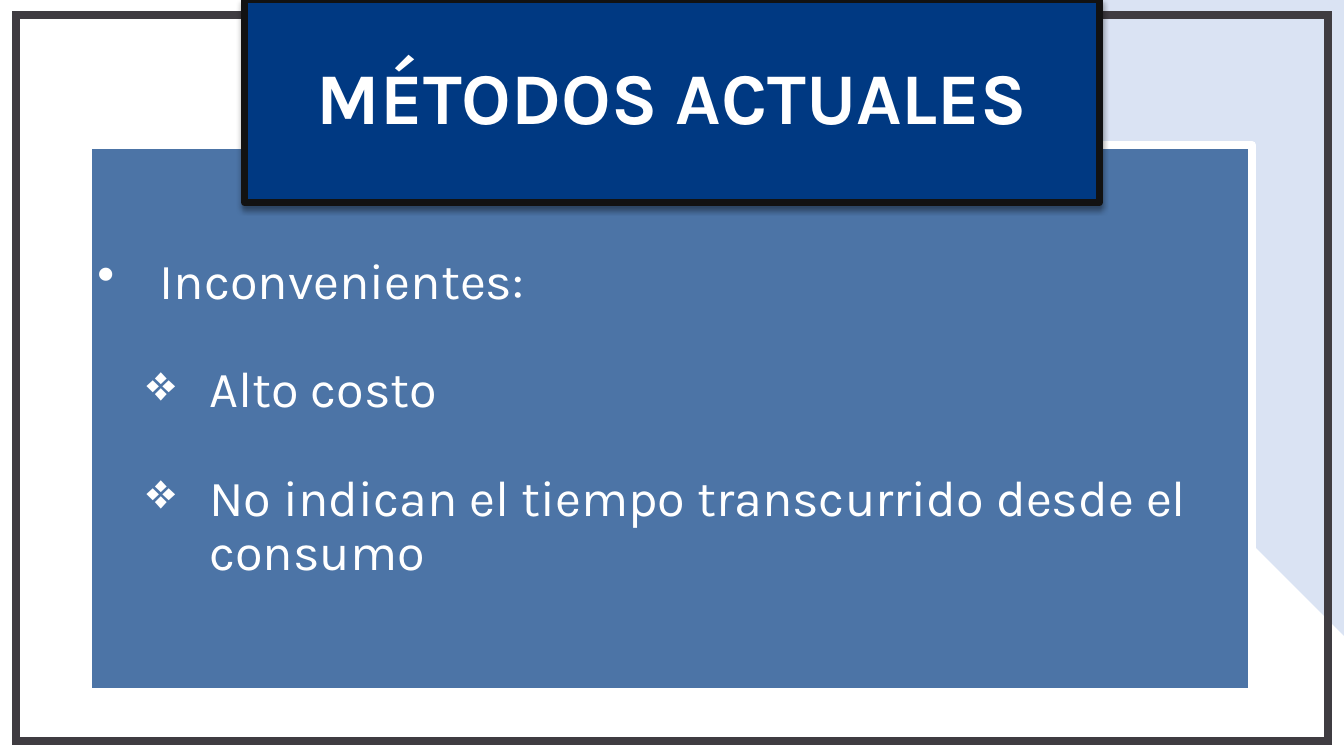
from pptx import Presentation
from pptx.dml.color import RGBColor
from pptx.enum.shapes import MSO_SHAPE
from pptx.enum.text import MSO_ANCHOR, PP_ALIGN
from pptx.oxml import parse_xml
from pptx.oxml.ns import nsdecls, qn
from pptx.util import Emu, Inches, Pt

WIDE, HIGH = Inches(13.33), Inches(7.5)
FONT = "Karla"
WHITE = "FFFFFF"


def color(code):
    return RGBColor.from_string(code)


def share(part, whole):
    """Turn a percentage of a slide side into a length."""
    return Emu(round(whole * part / 100))


def block(slide, kind, box, fill=None, line=None, width=0):
    """Add a shape; box holds left, top, width, height in percent."""
    sides = (WIDE, HIGH, WIDE, HIGH)
    shape = slide.shapes.add_shape(kind, *map(share, box, sides))
    shape.shadow.inherit = False
    if fill:
        shape.fill.solid()
        shape.fill.fore_color.rgb = color(fill)
    else:
        shape.fill.background()
    if line:
        shape.line.color.rgb = color(line)
        shape.line.width = Pt(width)
    else:
        shape.line.fill.background()
    return shape


def miter(shape):
    """Give the outline sharp corners."""
    line = shape._element.spPr.find(qn("a:ln"))
    line.append(parse_xml(f'<a:miter {nsdecls("a")} lim="800000"/>'))


def shade(shape):
    """Drop a soft shadow straight down."""
    effect = shape._element.spPr.find(qn("a:effectLst"))
    effect.append(parse_xml(
        f'<a:outerShdw {nsdecls("a")} blurRad="{Pt(4)}" dist="{Pt(3)}" '
        'dir="5400000" algn="t" rotWithShape="0">'
        '<a:srgbClr val="000000"><a:alpha val="40000"/></a:srgbClr>'
        '</a:outerShdw>'))


def bullet(para, mark, left):
    """Hang a bullet sign before the text."""
    props = para._p.get_or_add_pPr()
    props.set("marL", str(Inches(left)))
    props.set("indent", str(Inches(-0.62)))
    props.append(parse_xml(f'<a:buChar {nsdecls("a")} char="{mark}"/>'))


def write(shape, items, size, align, bold=False):
    """Fill a shape with (text, mark, left) paragraphs, one line apart."""
    frame = shape.text_frame
    frame.word_wrap = True
    frame.vertical_anchor = MSO_ANCHOR.MIDDLE
    for num, (text, mark, left) in enumerate(items):
        para = frame.add_paragraph() if num else frame.paragraphs[0]
        para.text = text
        if mark:
            bullet(para, mark, left)
        para.alignment = align
        para.line_spacing = 0.9
        if num:
            para.space_before = Pt(38.5)
        para.font.name = FONT
        para.font.size = Pt(size)
        para.font.bold = bold
        para.font.color.rgb = color(WHITE)


def main():
    deck = Presentation()
    deck.slide_width, deck.slide_height = WIDE, HIGH
    slide = deck.slides.add_slide(deck.slide_layouts[6])

    # Pale corner at the top right
    corner = block(slide, MSO_SHAPE.RIGHT_TRIANGLE,
                   (52.7, 0, 47.3, 84.1), "DAE3F3")
    corner.rotation = 180

    # Panel with the drawbacks
    panel = block(slide, MSO_SHAPE.RECTANGLE,
                  (6.5, 19.2, 86.65, 72.4), "4C74A6", WHITE, 6)
    write(panel, [
        ("Inconvenientes:", "•", 0.62),
        ("Alto costo", "❖", 1.11),
        ("No indican el tiempo transcurrido desde el consumo", "❖", 1.11),
    ], 36, PP_ALIGN.LEFT)

    # Frame around the slide
    border = block(slide, MSO_SHAPE.RECTANGLE,
                   (1.2, 2, 97.6, 96), None, "3F3C41", 6)
    miter(border)

    # Title plate
    title = block(slide, MSO_SHAPE.RECTANGLE,
                  (18.2, 0, 63.6, 26.8), "003982", "121212", 5)
    shade(title)
    write(title, [("MÉTODOS ACTUALES", None, 0)], 52, PP_ALIGN.CENTER, True)

    deck.save("out.pptx")


if __name__ == "__main__":
    main()
